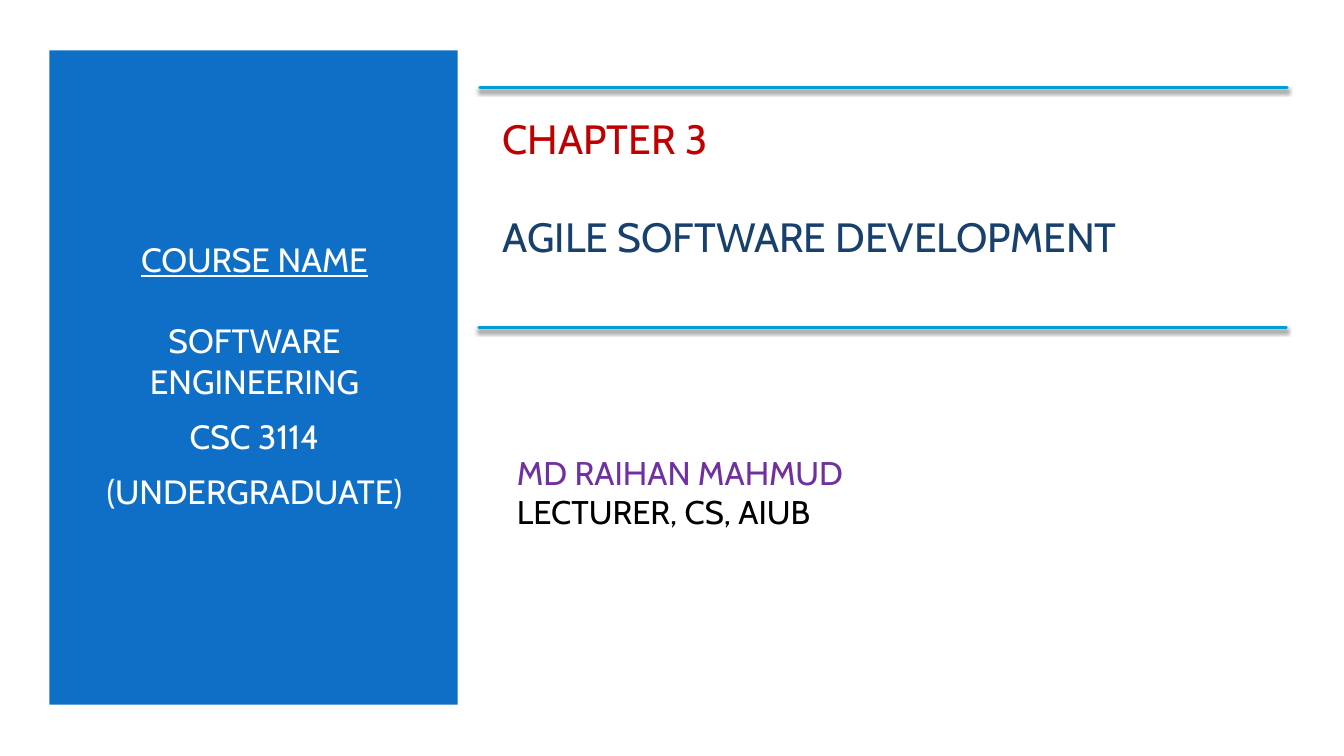
from dataclasses import dataclass

from lxml import etree
from pptx import Presentation
from pptx.dml.color import RGBColor
from pptx.enum import shapes, text
from pptx.oxml import ns
from pptx.util import Pt

WHITE = RGBColor(0xFF, 0xFF, 0xFF)
BLACK = RGBColor(0x00, 0x00, 0x00)
BLUE = RGBColor(0x0F, 0x6F, 0xC6)
NAVY = RGBColor(0x17, 0x40, 0x6D)
CYAN = RGBColor(0x00, 0x9D, 0xD9)
RED = RGBColor(0xC0, 0x00, 0x00)
PURPLE = RGBColor(0x70, 0x30, 0xA0)
FONT = "Cabin"
WIDTH, HEIGHT = 960, 540


@dataclass
class Panel:
    left: float
    top: float
    width: float
    height: float
    color: RGBColor


@dataclass
class Line:
    text: str
    color: RGBColor
    before: float = 0
    after: float = 0
    underline: bool = False


@dataclass
class Block:
    left: float
    top: float
    width: float
    height: float
    size: float
    align: text.PP_ALIGN
    lines: list[Line]


@dataclass
class Rule:
    left: float
    top: float
    width: float = 576.8


PANELS = [
    Panel(0, 0, WIDTH, HEIGHT, WHITE),
    Panel(35.3, 36, 291.6, 467.3, BLUE),
]

BLOCKS = [
    Block(60.5, 79.2, 242.6, 378, 24, text.PP_ALIGN.CENTER, [
        Line("COURSE NAME", WHITE, underline=True),
        Line("SOFTWARE ENGINEERING", WHITE, before=29, after=6),
        Line("CSC 3114", WHITE, before=4.8, after=6),
        Line("(UNDERGRADUATE)", WHITE, before=4.8, after=6),
    ]),
    Block(352.1, 79.2, 565.2, 108.7, 29.2, text.PP_ALIGN.LEFT, [
        Line("CHAPTER 3", RED),
        Line("AGILE SOFTWARE DEVELOPMENT", NAVY, before=35),
    ]),
    Block(362.2, 295.2, 479.5, 112.3, 23.4, text.PP_ALIGN.LEFT, [
        Line("MD RAIHAN MAHMUD", PURPLE),
        Line("LECTURER, CS, AIUB", BLACK),
    ]),
]

RULES = [Rule(342.7, 62.6), Rule(342, 234)]


def draw_panel(s, panel: Panel) -> None:
    sp = s.shapes.add_shape(
        shapes.MSO_SHAPE.RECTANGLE,
        Pt(panel.left), Pt(panel.top), Pt(panel.width), Pt(panel.height),
    )
    sp.shadow.inherit = False
    sp.fill.solid()
    sp.fill.fore_color.rgb = panel.color
    sp.line.fill.background()


def draw_block(s, block: Block) -> None:
    sp = s.shapes.add_textbox(
        Pt(block.left), Pt(block.top), Pt(block.width), Pt(block.height)
    )
    tf = sp.text_frame
    tf.word_wrap = True
    tf.vertical_anchor = text.MSO_ANCHOR.MIDDLE
    for i, line in enumerate(block.lines):
        p = tf.add_paragraph() if i else tf.paragraphs[0]
        p.alignment = block.align
        p.space_before = Pt(line.before)
        p.space_after = Pt(line.after)
        r = p.add_run()
        r.text = line.text
        r.font.name = FONT
        r.font.size = Pt(block.size)
        r.font.color.rgb = line.color
        r.font.underline = line.underline


def draw_rule(s, rule: Rule) -> None:
    sp = s.shapes.add_connector(
        shapes.MSO_CONNECTOR.STRAIGHT,
        Pt(rule.left), Pt(rule.top), Pt(rule.left + rule.width), Pt(rule.top),
    )
    sp.line.color.rgb = CYAN
    sp.line.width = Pt(2)
    sp.line._get_or_add_ln().set("cap", "rnd")
    effects = etree.SubElement(sp._element.spPr, ns.qn("a:effectLst"))
    shadow = etree.SubElement(
        effects, ns.qn("a:outerShdw"),
        blurRad=str(Pt(3)), dist=str(Pt(2)), dir="5400000", rotWithShape="0",
    )
    color = etree.SubElement(shadow, ns.qn("a:srgbClr"), val=str(BLACK))
    etree.SubElement(color, ns.qn("a:alpha"), val="55000")


def main() -> None:
    prs = Presentation()
    prs.slide_width, prs.slide_height = Pt(WIDTH), Pt(HEIGHT)
    s = prs.slides.add_slide(prs.slide_layouts[6])
    for panel in PANELS:
        draw_panel(s, panel)
    for block in BLOCKS:
        draw_block(s, block)
    for rule in RULES:
        draw_rule(s, rule)
    prs.save("out.pptx")


if __name__ == "__main__":
    main()
